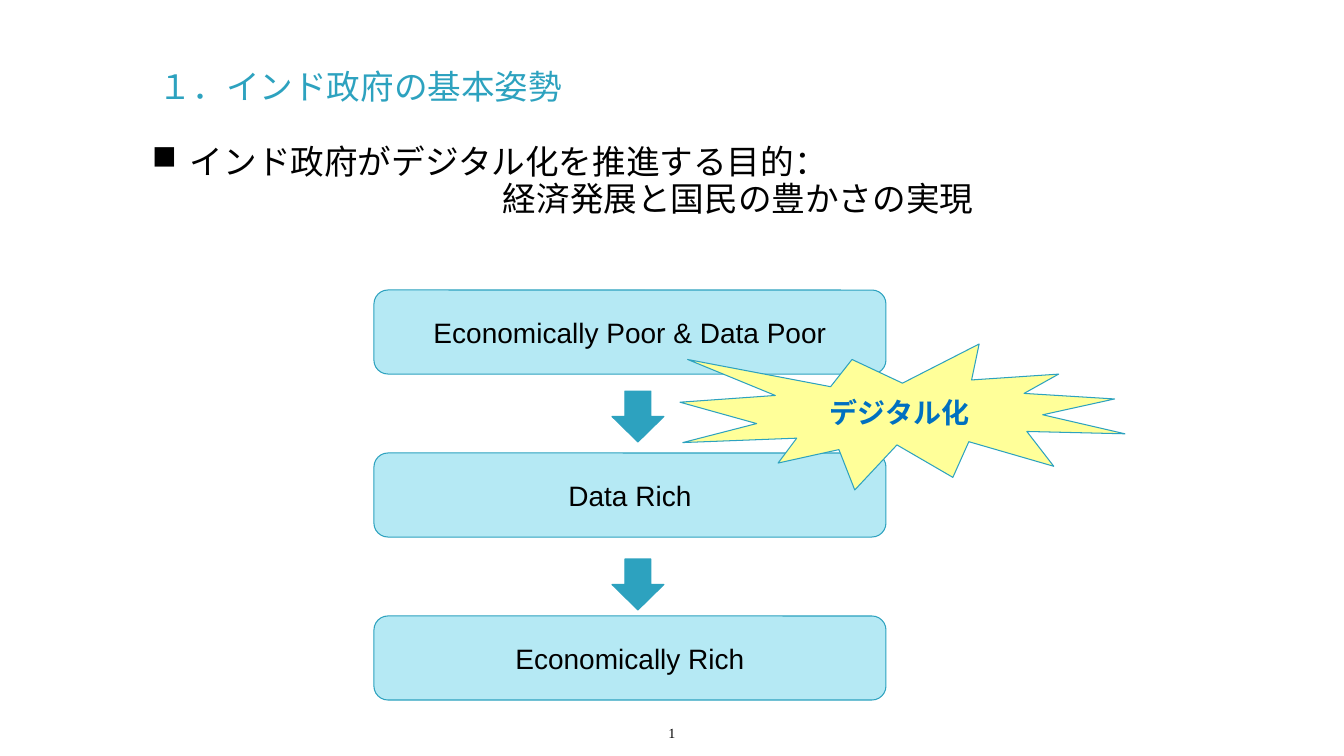
from pptx import Presentation
from pptx import util as u
from pptx.dml.color import RGBColor
from pptx.enum import shapes, text
from pptx.oxml.ns import qn
from lxml import etree

SCALE = 914400 / 100.8
TEAL, PALE_TEAL, YELLOW, BLUE, BLACK = "2DA2BF", "B5E9F4", "FFFF99", "0070C0", "000000"
JAPANESE_FONT = "Noto Sans CJK JP"


def px(length):
    """Turn pixels into EMU."""
    return u.Emu(round(length * SCALE))


def color(code):
    """Turn a hex string into a colour."""
    return RGBColor.from_string(code)


class Deck:
    """Holds the style and the current slide."""

    def __init__(self):
        """Start a presentation with one blank slide."""
        self.presentation = Presentation()
        self.presentation.slide_width = px(1344)
        self.presentation.slide_height = px(756)
        self.slide = self.presentation.slides.add_slide(self.presentation.slide_layouts[6])

    def style(self, paragraph, size, code=BLACK, font="Arial", bold=False, align=text.PP_ALIGN.LEFT):
        """Set the font and alignment of a paragraph."""
        paragraph.alignment = align
        paragraph.font.size = u.Pt(size)
        paragraph.font.name = font
        paragraph.font.bold = bold
        paragraph.font.color.rgb = color(code)
        latin = paragraph.font._element.find(qn("a:latin"))
        east_asian = etree.Element(qn("a:ea"), typeface=JAPANESE_FONT)
        latin.addnext(east_asian)

    def indent(self, paragraph, left, first=0, bullet=None):
        """Indent a paragraph and give it an optional bullet."""
        properties = paragraph._p.get_or_add_pPr()
        properties.set("marL", str(px(left)))
        properties.set("indent", str(px(first)))
        if bullet:
            mark = etree.Element(qn("a:buChar"), char=bullet)
            properties.find(qn("a:defRPr")).addprevious(mark)

    def text_box(self, box, lines, size, spacing=1.0, **style):
        """Add a text box and return its paragraphs."""
        frame = self.slide.shapes.add_textbox(*map(px, box)).text_frame
        frame.word_wrap = True
        frame.text = "\n".join(lines)
        for paragraph in frame.paragraphs:
            self.style(paragraph, size, **style)
            paragraph.line_spacing = spacing
        return frame.paragraphs

    def shape(self, kind, box, fill, label="", **style):
        """Add a teal-outlined preset shape with an optional centred label."""
        shape = self.slide.shapes.add_shape(kind, *map(px, box))
        shape.shadow.inherit = False
        shape.fill.solid()
        shape.fill.fore_color.rgb = color(fill)
        shape.line.color.rgb = color(TEAL)
        shape.line.width = u.Pt(0.75)
        if label:
            frame = shape.text_frame
            frame.word_wrap = False
            frame.vertical_anchor = text.MSO_ANCHOR.MIDDLE
            frame.text = label
            self.style(frame.paragraphs[0], 20, align=text.PP_ALIGN.CENTER, **style)


def main():
    """Build the slide and save it."""
    deck = Deck()
    kinds = shapes.MSO_SHAPE
    deck.text_box((566, 720, 212, 31), ["1"], 10, font="Times New Roman", align=text.PP_ALIGN.CENTER)
    purpose, goal = deck.text_box(
        (142, 140, 1048, 107),
        ["インド政府がデジタル化を推進する目的：", "経済発展と国民の豊かさの実現"],
        24, spacing=0.92, font=JAPANESE_FONT)
    deck.indent(purpose, 38, -38, bullet="■")
    deck.indent(goal, 351)

    stages = ["Economically Poor & Data Poor", "Data Rich", "Economically Rich"]
    for row, stage in enumerate(stages):
        deck.shape(kinds.ROUNDED_RECTANGLE, (374, 290 + 163 * row, 512, 84), PALE_TEAL, stage)
    for row in range(len(stages) - 1):
        deck.shape(kinds.DOWN_ARROW, (612, 391 + 168 * row, 52, 51), TEAL)
    deck.shape(kinds.EXPLOSION1, (680, 344, 445, 146), YELLOW, "デジタル化", code=BLUE, bold=True)
    deck.text_box((149, 65, 991, 59), ["１．インド政府の基本姿勢"], 24, spacing=0.9, code=TEAL)
    deck.presentation.save("out.pptx")


main()
